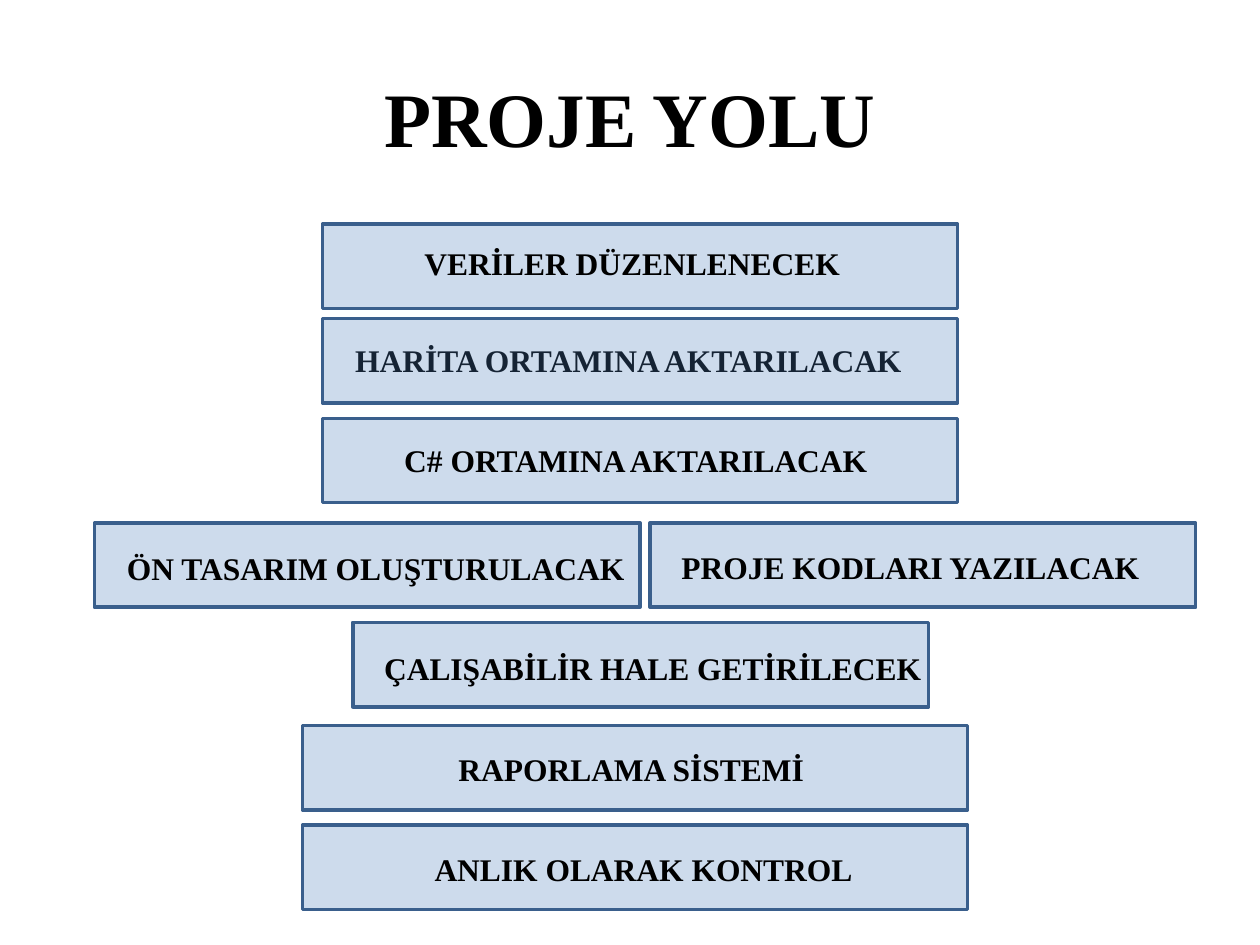
from dataclasses import dataclass

from lxml.etree import SubElement
from pptx import Presentation
from pptx.dml.color import RGBColor
from pptx.enum.shapes import MSO_SHAPE
from pptx.enum.text import MSO_ANCHOR, MSO_AUTO_SIZE, PP_ALIGN
from pptx.oxml.ns import qn
from pptx.slide import Slide
from pptx.text.text import TextFrame
from pptx.util import Inches, Pt

FONT = "Times New Roman"
BOX_HEIGHT = 0.67
LABEL_HEIGHT = 0.4
OPACITY = 28


@dataclass(frozen=True)
class Step:
    text: str
    left: float
    top: float
    width: float
    label_left: float
    label_top: float
    label_width: float
    box_in_front: bool = False


STEPS = [
    Step("VERİLER DÜZENLENECEK", 2.56, 1.78, 5.04, 3.27, 1.89, 3.78),
    Step("HARİTA ORTAMINA AKTARILACAK", 2.56, 2.53, 5.04, 2.72, 2.66, 5.59, True),
    Step("C# ORTAMINA AKTARILACAK", 2.56, 3.32, 5.04, 3.11, 3.45, 4.41),
    Step("ÖN TASARIM OLUŞTURULACAK", 0.75, 4.15, 4.33, 0.91, 4.31, 4.17),
    Step("PROJE KODLARI YAZILACAK", 5.16, 4.15, 4.33, 5.31, 4.3, 4.17),
    Step("ÇALIŞABİLİR HALE GETİRİLECEK", 2.8, 4.94, 4.57, 2.95, 5.1, 5.2),
    Step("RAPORLAMA SİSTEMİ", 2.4, 5.76, 5.28, 3.54, 5.9, 4.06),
    Step("ANLIK OLARAK KONTROL", 2.4, 6.55, 5.28, 3.35, 6.7, 3.78),
]


def color(value: str) -> RGBColor:
    return RGBColor.from_string(value)


def write(tf: TextFrame, text: str, size: int) -> None:
    tf.text = text
    font = tf.paragraphs[0].runs[0].font
    font.name = FONT
    font.size = Pt(size)
    font.bold = True
    font.color.rgb = color("000000")


def add_box(s: Slide, step: Step) -> None:
    sp = s.shapes.add_shape(
        MSO_SHAPE.RECTANGLE,
        Inches(step.left), Inches(step.top), Inches(step.width), Inches(BOX_HEIGHT),
    )
    sp.shadow.inherit = False
    sp.fill.solid()
    sp.fill.fore_color.rgb = color("4F81BD")
    fill = sp.fill._xPr.find(qn("a:solidFill"))
    SubElement(fill[0], qn("a:alpha"), val=str(OPACITY * 1000))
    sp.line.color.rgb = color("3A5F8C")
    sp.line.width = Pt(2)


def add_label(s: Slide, step: Step) -> None:
    sp = s.shapes.add_textbox(
        Inches(step.label_left), Inches(step.label_top),
        Inches(step.label_width), Inches(LABEL_HEIGHT),
    )
    tf = sp.text_frame
    tf.word_wrap = True
    tf.auto_size = MSO_AUTO_SIZE.SHAPE_TO_FIT_TEXT
    write(tf, step.text, 18)


def add_step(s: Slide, step: Step) -> None:
    parts = [add_box, add_label]
    if step.box_in_front:
        parts.reverse()
    for add_part in parts:
        add_part(s, step)


def set_title(s: Slide, text: str) -> None:
    sp = s.shapes.title
    sp.left, sp.top = Inches(0.5), Inches(0.3)
    sp.width, sp.height = Inches(9), Inches(1.25)
    tf = sp.text_frame
    write(tf, text, 44)
    tf.vertical_anchor = MSO_ANCHOR.MIDDLE
    tf.paragraphs[0].alignment = PP_ALIGN.CENTER


def main() -> None:
    prs = Presentation()
    prs.slide_width, prs.slide_height = Inches(10), Inches(7.5)
    s = prs.slides.add_slide(prs.slide_layouts.get_by_name("Title Only"))
    set_title(s, "PROJE YOLU")
    for step in STEPS:
        add_step(s, step)
    prs.save("out.pptx")


if __name__ == "__main__":
    main()
